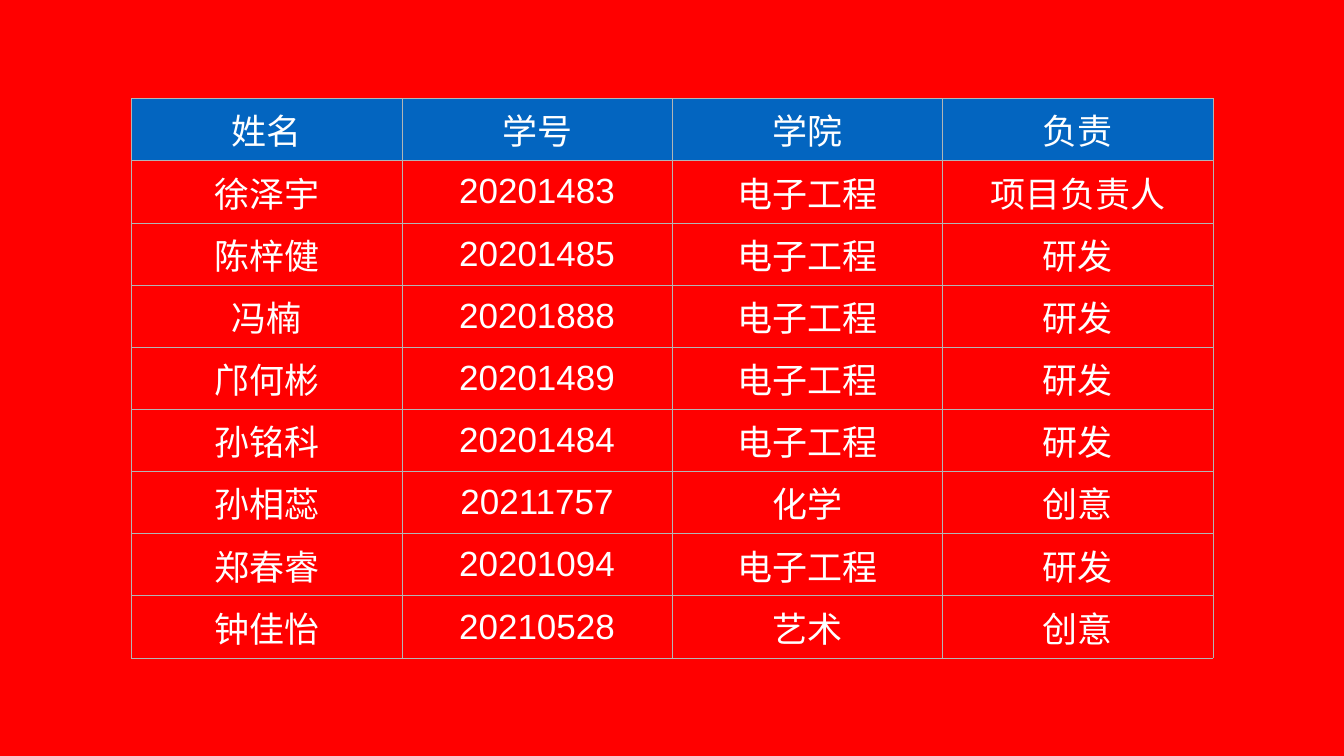
import pptx
import pptx.util
import pptx.dml.color
import pptx.enum.text
import pptx.oxml
import pptx.oxml.ns
from pptx.util import Cm

COLORS = {"back": "FF0000", "head": "0365C0", "text": "FFFFFF", "rule": "B4B4B4"}

TEAM = [
    ("姓名", "学号", "学院", "负责"),
    ("徐泽宇", "20201483", "电子工程", "项目负责人"),
    ("陈梓健", "20201485", "电子工程", "研发"),
    ("冯楠", "20201888", "电子工程", "研发"),
    ("邝何彬", "20201489", "电子工程", "研发"),
    ("孙铭科", "20201484", "电子工程", "研发"),
    ("孙相蕊", "20211757", "化学", "创意"),
    ("郑春睿", "20201094", "电子工程", "研发"),
    ("钟佳怡", "20210528", "艺术", "创意"),
]

CELL = {
    "vertical_anchor": pptx.enum.text.MSO_ANCHOR.MIDDLE,
    "margin_left": Cm(0.14),
    "margin_right": Cm(0.14),
    "margin_top": Cm(0.14),
    "margin_bottom": Cm(0.14),
}
FONT = {"size": pptx.util.Pt(50), "name": "Arial", "bold": False}


def color(key):
    return pptx.dml.color.RGBColor.from_string(COLORS[key])


def apply(item, values):
    for name, value in values.items():
        setattr(item, name, value)


def border(cell):
    # Borders come before the fill in the cell's properties
    props = cell._tc.get_or_add_tcPr()
    for index, side in enumerate(("lnL", "lnR", "lnT", "lnB")):
        line = pptx.oxml.parse_xml(
            f'<a:{side} {pptx.oxml.ns.nsdecls("a")} w="{pptx.util.Pt(1)}">'
            f'<a:solidFill><a:srgbClr val="{COLORS["rule"]}"/></a:solidFill>'
            f'</a:{side}>')
        props.insert(index, line)


def style(cell, text, head):
    apply(cell, CELL)
    if head:
        cell.fill.solid()
        cell.fill.fore_color.rgb = color("head")
    else:
        cell.fill.background()
    border(cell)
    para = cell.text_frame.paragraphs[0]
    para.alignment = pptx.enum.text.PP_ALIGN.CENTER
    run = para.add_run()
    run.text = text
    apply(run.font, FONT)
    run.font.color.rgb = color("text")


def roster(slide, rows, left, top, width, height):
    table = slide.shapes.add_table(
        len(rows), len(rows[0]), left, top, width, height).table
    table.horz_banding = False
    for r, row in enumerate(rows):
        for c, text in enumerate(row):
            style(table.cell(r, c), text, r == 0)


def main():
    deck = pptx.Presentation()
    deck.slide_width, deck.slide_height = Cm(67.74), Cm(38.1)
    slide = deck.slides.add_slide(deck.slide_layouts[6])

    # Red background
    slide.background.fill.solid()
    slide.background.fill.fore_color.rgb = color("back")

    # Team table
    roster(slide, TEAM, Cm(6.63), Cm(4.97), Cm(54.5), Cm(28.19))

    deck.save("out.pptx")


if __name__ == "__main__":
    main()
